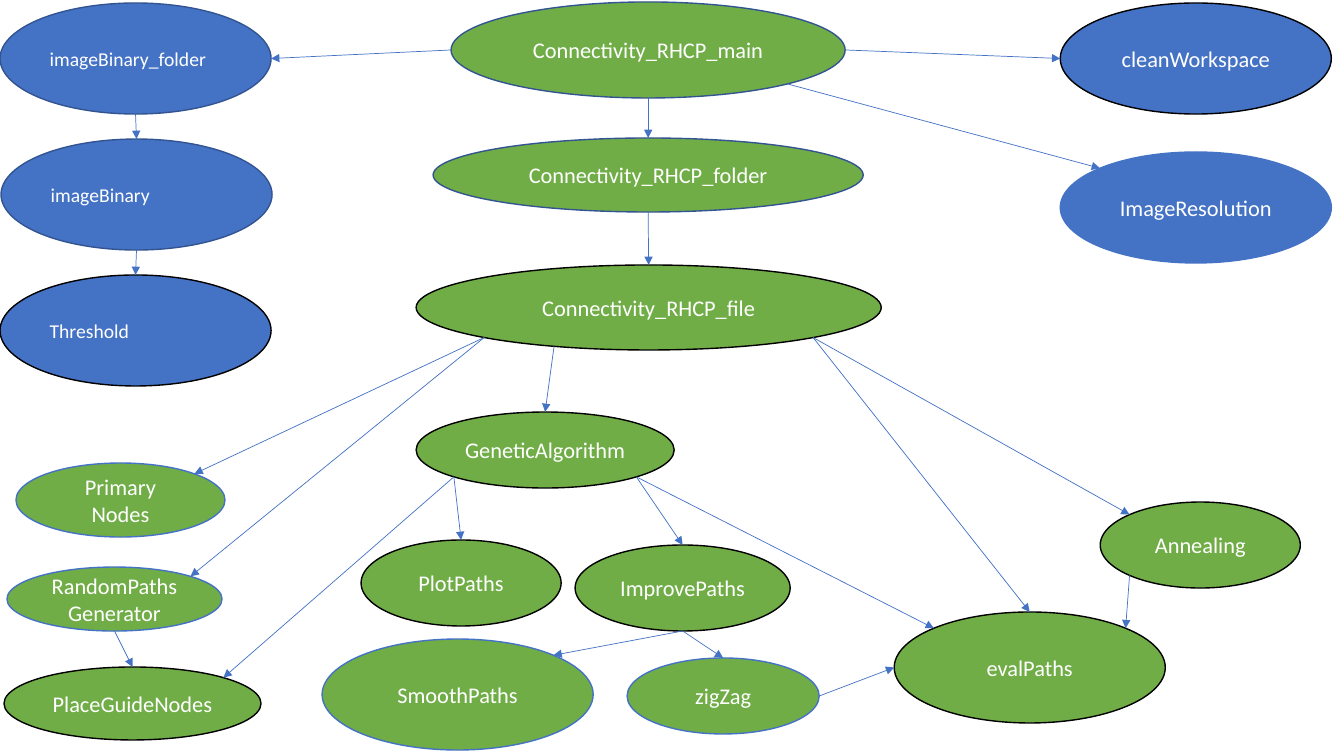
import math

import pptx
import pptx.dml.color
import pptx.enum.shapes
import pptx.enum.text
import pptx.oxml
import pptx.oxml.ns
import pptx.util

RGB = pptx.dml.color.RGBColor
GREEN = RGB(0x70, 0xAD, 0x47)
BLUE = RGB(0x44, 0x72, 0xC4)
NAVY = RGB(0x32, 0x54, 0x91)
BLACK = RGB(0, 0, 0)
WHITE = RGB(0xFF, 0xFF, 0xFF)

EMU_PER_PIXEL = 914400 / 100.8
BLUE_SIZE = (271, 111)
SMALL_SIZE = (200, 86)

LEFT_ALIGNED = {"alignment": pptx.enum.text.PP_ALIGN.LEFT}
CENTERED = {"alignment": pptx.enum.text.PP_ALIGN.CENTER}
SMALL_FONT = {"name": "Calibri", "size": pptx.util.Pt(14)}
LARGE_FONT = {"name": "Calibri", "size": pptx.util.Pt(16)}

# Clockwise angles, in degrees, of the points where arrows meet an ellipse
RIGHT, BOTTOM_RIGHT, BOTTOM, BOTTOM_LEFT = 0, 45, 90, 135
LEFT, TOP_LEFT, TOP, TOP_RIGHT = 180, 225, 270, 315
BOTTOM_NEAR_LEFT = 114

# Left-aligned functions: name, (left, top), size, fill, outline
IMAGE_FUNCTIONS = [
    ("imageBinary_folder", (0, 3), BLUE_SIZE, BLUE, NAVY),
    ("imageBinary", (1, 139), BLUE_SIZE, BLUE, NAVY),
    ("Threshold", (0, 275), BLUE_SIZE, BLUE, BLACK),
]

# Centred functions: name, (left, top), size, fill, outline
FUNCTIONS = [
    ("Connectivity_RHCP_main", (451, 2), (394, 96), GREEN, NAVY),
    ("cleanWorkspace", (1060, 3), BLUE_SIZE, BLUE, BLACK),
    ("ImageResolution", (1060, 152), BLUE_SIZE, BLUE, BLUE),
    ("Connectivity_RHCP_folder", (433, 138), (430, 74), GREEN, NAVY),
    ("SmoothPaths", (322, 639), BLUE_SIZE, GREEN, BLUE),
    ("evalPaths", (894, 612), BLUE_SIZE, GREEN, BLACK),
    ("zigZag", (627, 658), (192, 76), GREEN, BLUE),
    ("Connectivity_RHCP_file", (416, 265), (465, 85), GREEN, BLACK),
    ("Annealing", (1100, 502), SMALL_SIZE, GREEN, BLACK),
    ("GeneticAlgorithm", (416, 412), (258, 76), GREEN, BLACK),
    ("RandomPathsGenerator", (7, 567), (215, 64), GREEN, BLUE),
    ("Primary Nodes", (16, 463), (209, 74), GREEN, BLUE),
    ("PlaceGuideNodes", (4, 667), (257, 73), GREEN, BLACK),
    ("ImprovePaths", (575, 545), (215, 86), GREEN, BLACK),
    ("PlotPaths", (361, 540), SMALL_SIZE, GREEN, BLACK),
]

# Caller, its angle, callee, its angle
CALLS = [
    ("Connectivity_RHCP_main", RIGHT, "cleanWorkspace", LEFT),
    ("Connectivity_RHCP_main", BOTTOM_RIGHT, "ImageResolution", TOP_LEFT),
    ("Connectivity_RHCP_main", BOTTOM, "Connectivity_RHCP_folder", TOP),
    ("Connectivity_RHCP_main", LEFT, "imageBinary_folder", RIGHT),
    ("imageBinary_folder", BOTTOM, "imageBinary", TOP),
    ("imageBinary", BOTTOM, "Threshold", TOP),
    ("Connectivity_RHCP_folder", BOTTOM, "Connectivity_RHCP_file", TOP),
    ("Connectivity_RHCP_file", BOTTOM_RIGHT, "Annealing", TOP_LEFT),
    ("Connectivity_RHCP_file", BOTTOM_RIGHT, "evalPaths", TOP),
    ("Connectivity_RHCP_file", BOTTOM_NEAR_LEFT, "GeneticAlgorithm", TOP),
    ("Connectivity_RHCP_file", BOTTOM_LEFT, "RandomPathsGenerator", TOP_RIGHT),
    ("Connectivity_RHCP_file", BOTTOM_LEFT, "Primary Nodes", TOP_RIGHT),
    ("GeneticAlgorithm", BOTTOM_LEFT, "PlaceGuideNodes", TOP_RIGHT),
    ("GeneticAlgorithm", BOTTOM_LEFT, "PlotPaths", TOP),
    ("GeneticAlgorithm", BOTTOM_RIGHT, "ImprovePaths", TOP),
    ("GeneticAlgorithm", BOTTOM_RIGHT, "evalPaths", TOP_LEFT),
    ("ImprovePaths", BOTTOM, "zigZag", TOP),
    ("ImprovePaths", BOTTOM, "SmoothPaths", TOP_RIGHT),
    ("RandomPathsGenerator", BOTTOM, "PlaceGuideNodes", TOP),
    ("zigZag", RIGHT, "evalPaths", LEFT),
    ("Annealing", BOTTOM_LEFT, "evalPaths", TOP_RIGHT),
]


def emu(pixels):
    """Turn pixels into EMU."""
    return pptx.util.Emu(round(pixels * EMU_PER_PIXEL))


def apply_format(target, values):
    """Set each named attribute on the target."""
    for name, value in values.items():
        setattr(target, name, value)


def add_ellipse(page, function, para_format, font_format):
    """Draw one function as a labelled ellipse and return the shape."""
    name, position, size, fill, outline = function
    ellipse = page.shapes.add_shape(
        pptx.enum.shapes.MSO_SHAPE.OVAL, *map(emu, position + size))
    ellipse.shadow.inherit = False
    ellipse.fill.solid()
    ellipse.fill.fore_color.rgb = fill
    ellipse.line.color.rgb = outline
    ellipse.line.width = pptx.util.Pt(1)
    frame = ellipse.text_frame
    apply_format(frame, {"word_wrap": True,
                         "vertical_anchor": pptx.enum.text.MSO_ANCHOR.MIDDLE})
    para = frame.paragraphs[0]
    apply_format(para, para_format)
    span = para.add_run()
    span.text = name
    apply_format(span.font, font_format)
    span.font.color.rgb = WHITE
    return ellipse


def edge_point(ellipse, angle):
    """Return the point on the ellipse's outline at a clockwise angle."""
    turn = math.radians(angle)
    x = ellipse.left + ellipse.width * (1 + math.cos(turn)) / 2
    y = ellipse.top + ellipse.height * (1 + math.sin(turn)) / 2
    return round(x), round(y)


def add_arrow(page, start, end):
    """Draw a thin straight arrow from start to end."""
    arrow = page.shapes.add_connector(
        pptx.enum.shapes.MSO_CONNECTOR.STRAIGHT, *start, *end)
    arrow.line.color.rgb = BLUE
    arrow.line.width = pptx.util.Pt(0.5)
    head = pptx.oxml.parse_xml(
        f'<a:tailEnd {pptx.oxml.ns.nsdecls("a")} type="triangle"/>')
    arrow.line._get_or_add_ln().append(head)
    no_shadow = pptx.oxml.parse_xml(
        f'<a:effectLst {pptx.oxml.ns.nsdecls("a")}/>')
    arrow._element.spPr.append(no_shadow)


def main():
    """Build the call diagram and save it."""
    deck = pptx.Presentation()
    apply_format(deck, {"slide_width": pptx.util.Inches(13.33),
                        "slide_height": pptx.util.Inches(7.5)})
    page = deck.slides.add_slide(deck.slide_layouts[6])

    ellipses = {}
    for functions, para_format, font_format in (
            (IMAGE_FUNCTIONS, LEFT_ALIGNED, SMALL_FONT),
            (FUNCTIONS, CENTERED, LARGE_FONT)):
        for function in functions:
            ellipses[function[0]] = add_ellipse(
                page, function, para_format, font_format)

    for caller, start_angle, callee, end_angle in CALLS:
        add_arrow(page, edge_point(ellipses[caller], start_angle),
                  edge_point(ellipses[callee], end_angle))

    deck.save("out.pptx")


main()
